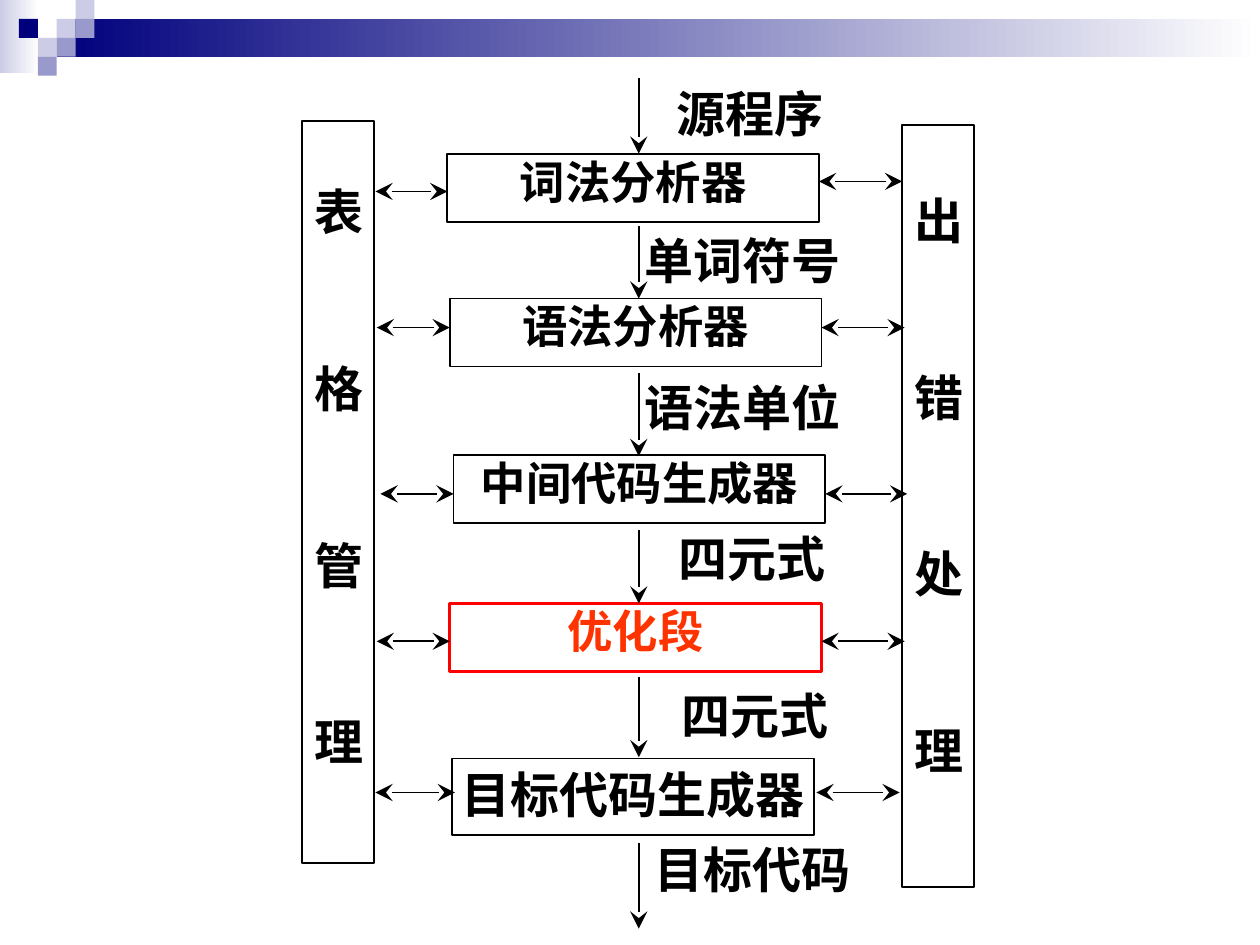
from pptx import Presentation
from pptx.dml.color import RGBColor as Rgb
from pptx.enum.lang import MSO_LANGUAGE_ID as Language
from pptx.enum.shapes import MSO_CONNECTOR as Connector, MSO_SHAPE as Shape
from pptx.enum.text import MSO_ANCHOR as Anchor, PP_ALIGN as Align
from pptx.oxml.ns import qn
from pptx.util import Pt
from lxml.etree import SubElement

PX = 9144  # 100 px to the inch
COLORS = {
    "black": "000000", "white": "FFFFFF", "red": "FF0000", "orange": "FF3300",
    "navy": "00007D", "lilac": "CCCCE6", "violet": "9999CC",
}
SERIF, SANS = "Times New Roman", "Noto Sans CJK SC"


def color(name):
    return Rgb.from_string(COLORS[name])


def write(frame, lines, font=SERIF, size=28, ink="black", spacing=None, gap=0,
          insets=(10, 5, 10, 5), anchor=Anchor.TOP, wrap=True):
    """Fill a text frame with one bold centred paragraph per line."""
    frame.word_wrap = wrap
    frame.vertical_anchor = anchor
    (frame.margin_left, frame.margin_top,
     frame.margin_right, frame.margin_bottom) = [inset * PX for inset in insets]
    for index, line in enumerate(lines):
        para = frame.add_paragraph() if index else frame.paragraphs[0]
        para.alignment = Align.CENTER
        para.line_spacing = spacing
        if index and gap:
            para.space_before = Pt(gap)
        span = para.add_run()
        span.text = line
        span.font.name, span.font.size, span.font.bold = font, Pt(size), True
        span.font.color.rgb = color(ink)
        span.font.language_id = Language.SIMPLIFIED_CHINESE


class Painter:
    def __init__(self, page, line_width=1):
        self.page = page
        self.line_width = Pt(line_width)

    def rect(self, left, top, width, height):
        box = self.page.shapes.add_shape(
            Shape.RECTANGLE, left * PX, top * PX, width * PX, height * PX)
        box.shadow.inherit = False
        return box

    def tile(self, left, top, width, height, *fills):
        """A borderless block: one colour, or two for a gradient."""
        box = self.rect(left, top, width, height)
        box.line.fill.background()
        if len(fills) == 1:
            box.fill.solid()
            box.fill.fore_color.rgb = color(fills[0])
            return
        box.fill.gradient()
        box.fill.gradient_angle = 0
        for stop, name in zip(box.fill.gradient_stops, fills):
            stop.color.rgb = color(name)

    def frame(self, place, lines, border="black", width=None, **style):
        box = self.rect(*place)
        box.fill.background()
        box.line.color.rgb = color(border)
        box.line.width = width or self.line_width
        write(box.text_frame, lines, **style)

    def label(self, place, text):
        box = self.page.shapes.add_textbox(*[length * PX for length in place])
        write(box.text_frame, [text], insets=(0, 5, 0, 5),
              anchor=Anchor.MIDDLE, wrap=False)

    def arrow(self, start, end, both=False):
        link = self.page.shapes.add_connector(
            Connector.STRAIGHT, *[length * PX for length in (*start, *end)])
        link.line.color.rgb = color("black")
        link.line.width = self.line_width
        outline = link.line._get_or_add_ln()
        for tag in ("a:headEnd", "a:tailEnd") if both else ("a:tailEnd",):
            SubElement(outline, qn(tag), type="stealth", w="lg", len="lg")
        SubElement(link._element.spPr, qn("a:effectLst"))


def main():
    deck = Presentation()
    deck.slide_width, deck.slide_height = 1000 * PX, 750 * PX
    page = deck.slides.add_slide(deck.slide_layouts[6])
    painter = Painter(page)

    # Header band and its checker tiles
    painter.tile(0, 0, 31, 58, "lilac", "white")
    painter.tile(45, 15, 955, 30, "navy", "white")
    for column, row, fill in [
            (2, 1, "lilac"), (3, 0, "lilac"), (3, 1, "violet"), (1, 2, "lilac"),
            (0, 1, "navy"), (2, 2, "violet"), (1, 3, "violet")]:
        painter.tile(15 + 15 * column, 15 * row, 15, 15, fill)

    # Compiler stages
    stage = {"size": 25.9, "spacing": 0.9}
    painter.frame((355, 122, 295, 54), ["词法分析器"], **stage)
    painter.frame((357, 237, 295, 54), ["语法分析器"], **stage)
    painter.frame((360, 361, 295, 54), ["中间代码生成器"], font=SANS, **stage)
    painter.frame((357, 479, 295, 54), ["优化段"], font=SANS, ink="orange",
                  border="red", width=Pt(1.75), **stage)
    painter.frame((359, 602, 287, 61), ["目标代码生成器"], font=SANS,
                  insets=(2, 5, 2, 5))

    # Side pillars, one character per paragraph
    painter.frame((240, 96, 57, 589), "表格管理", gap=67.4, insets=(10, 48, 10, 5))
    painter.frame((716, 99, 57, 605), "出错处理", gap=67.4, insets=(10, 52, 10, 5))

    # Data passed down between the stages
    for text, place, top, bottom in [
            ("源程序", (523, 71, 144, 38), 62, 122),
            ("单词符号", (508, 187, 162, 38), 179, 237),
            ("语法单位", (508, 304, 162, 38), 296, 362),
            ("四元式", (523, 426, 148, 34), 421, 479),
            ("四元式", (526, 550, 146, 35), 537, 601),
            ("目标代码", (516, 671, 162, 38), 669, 737)]:
        painter.label(place, text)
        painter.arrow((507, top), (507, bottom))

    # Links between the stages and both pillars
    for left, right, y in [
            (355, 298, 152), (357, 299, 260), (360, 302, 392),
            (357, 299, 509), (361, 298, 629),
            (650, 716, 144), (652, 718, 260), (655, 720, 392),
            (652, 718, 509), (648, 714, 629)]:
        painter.arrow((left, y), (right, y), both=True)

    deck.save("out.pptx")


if __name__ == "__main__":
    main()
